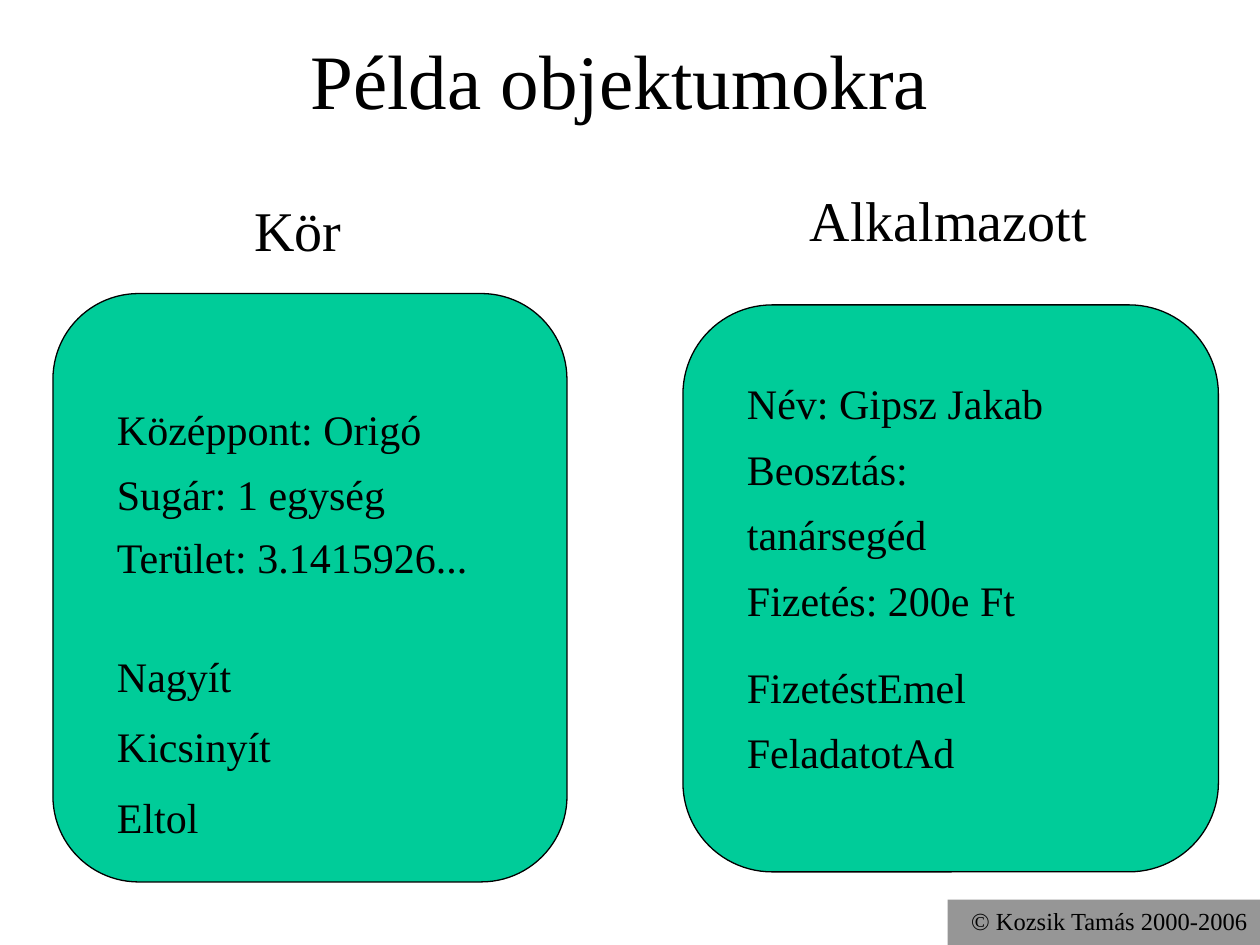
"""Build a slide with two example objects, their data and their operations."""
from pptx import Presentation
from pptx.dml.color import RGBColor
from pptx.enum.shapes import MSO_SHAPE
from pptx.enum.text import MSO_ANCHOR, PP_ALIGN
from pptx.util import Inches, Pt

RECT, ROUNDED = MSO_SHAPE.RECTANGLE, MSO_SHAPE.ROUNDED_RECTANGLE
TOP, MIDDLE = MSO_ANCHOR.TOP, MSO_ANCHOR.MIDDLE
LEFT, CENTER, RIGHT = PP_ALIGN.LEFT, PP_ALIGN.CENTER, PP_ALIGN.RIGHT
BLACK = RGBColor(0x00, 0x00, 0x00)
GREEN = RGBColor(0x00, 0xCC, 0x99)
GRAY = RGBColor(0x96, 0x96, 0x96)
FONT = "Times New Roman"

TITLE = ("Példa objektumokra", (0.67, 0, 8.5, 1.25))
FOOTER = ("© Kozsik Tamás 2000-2006", (7.52, 7.14, 2.48, 0.36))
OBJECTS = [
    {
        "name": ("Kör", (1.92, 1.5, 0.98, 0.63), True),
        "card": (0.42, 2.33, 4.08, 4.67),
        "text_left": 0.83,
        "blocks": [
            (["Középpont: Origó"], (3.15, 2.75, 0.5), 1, True),
            (["Sugár: 1 egység"], (3.67, 2.33, 0.5), 1, False),
            (["Terület: 3.1415926..."], (4.17, 3.25, 0.5), 1, True),
            (["Nagyít", "Kicsinyít", "Eltol"], (4.95, 2.5, 1.78), 1.4, True),
        ],
    },
    {
        "name": ("Alkalmazott", (6.33, 1.42, 2.4, 0.63), False),
        "card": (5.42, 2.42, 4.25, 4.5),
        "text_left": 5.83,
        "blocks": [
            (["Név: Gipsz Jakab", "Beosztás: tanársegéd", "Fizetés: 200e Ft"],
             (2.83, 2.98, 1.66), 1.3, False),
            (["FizetéstEmel", "FeladatotAd"], (5.08, 1.94, 1.14), 1.3, False),
        ],
    },
]


def write(shape, lines, size, align=LEFT, anchor=TOP, spacing=1, wrap=True):
    tf = shape.text_frame
    tf.word_wrap = wrap
    tf.vertical_anchor = anchor
    for i, line in enumerate(lines):
        p = tf.paragraphs[0] if i == 0 else tf.add_paragraph()
        p.alignment = align
        p.line_spacing = spacing
        r = p.add_run()
        r.text = line
        for key, value in {"name": FONT, "size": Pt(size)}.items():
            setattr(r.font, key, value)
        r.font.color.rgb = BLACK


def add_text(s, lines, box, size, **layout):
    write(s.shapes.add_textbox(*map(Inches, box)), lines, size, **layout)


def add_box(s, kind, box, fill):
    sp = s.shapes.add_shape(kind, *map(Inches, box))
    sp.shadow.inherit = False
    sp.fill.solid()
    sp.fill.fore_color.rgb = fill
    return sp


def add_object(s, item):
    card = add_box(s, ROUNDED, item["card"], GREEN)
    card.line.color.rgb = BLACK
    card.line.width = Pt(0.75)
    name, box, wrap = item["name"]
    add_text(s, [name], box, 32, wrap=wrap)
    for lines, place, spacing, wrap in item["blocks"]:
        add_text(s, lines, (item["text_left"], *place), 24, spacing=spacing, wrap=wrap)


def main():
    prs = Presentation()
    prs.slide_width, prs.slide_height = Inches(10), Inches(7.5)
    s = prs.slides.add_slide(prs.slide_layouts[6])
    text, box = FOOTER
    footer = add_box(s, RECT, box, GRAY)
    footer.line.fill.background()
    write(footer, [text], 14, align=RIGHT)
    text, box = TITLE
    add_text(s, [text], box, 44, align=CENTER, anchor=MIDDLE)
    for item in OBJECTS:
        add_object(s, item)
    prs.save("out.pptx")


if __name__ == "__main__":
    main()
